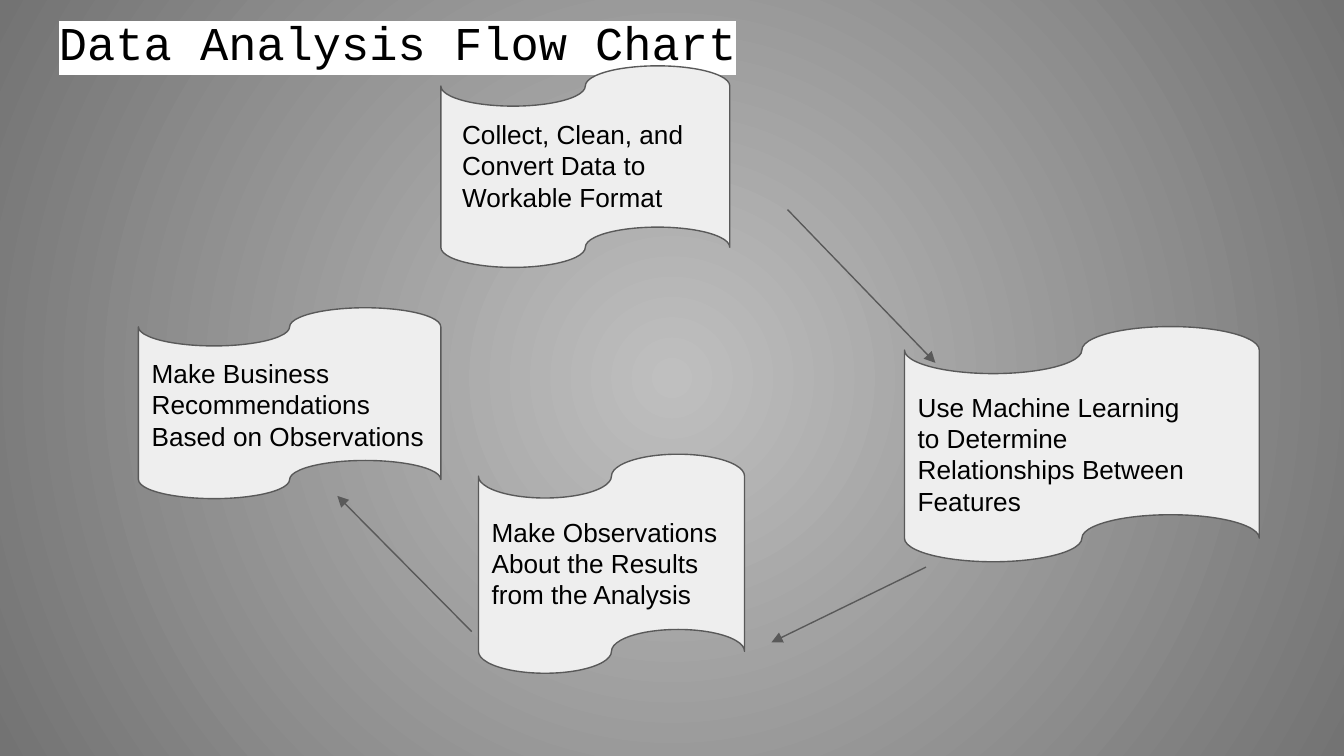
from lxml.etree import SubElement
from pptx import Presentation
from pptx.dml.color import RGBColor
from pptx.enum.shapes import MSO_CONNECTOR, MSO_SHAPE
from pptx.oxml.ns import qn
from pptx.util import Pt

PX = 9144
WIDE = 1000
INK = {"text": "000000", "mark": "FFFFFF", "tape": "EEEEEE", "line": "595959",
       "mid": "BFBFBF", "edge": "737373"}

TITLE = ("Data Analysis Flow Chart", (34, 0, 932, 63))
STEPS = [
    ("Collect, Clean, and Convert Data to Workable Format",
     (328, 49, 215, 150), (334, 78, 203, 91)),
    ("Use Machine Learning to Determine Relationships Between Features",
     (673, 243, 264, 175), (673, 281, 230, 114)),
    ("Make Observations About the Results from the Analysis",
     (356, 338, 198, 163), (356, 374, 198, 91)),
    ("Make Business Recommendations Based on Observations",
     (103, 229, 225, 142), (103, 256, 225, 91)),
]
ARROWS = [
    (586, 156, 696, 270),
    (689, 422, 574, 478),
    (351, 470, 251, 369),
]


def rgb(name):
    return RGBColor.from_string(INK[name])


def emu(box):
    return [n * PX for n in box]


def write(slide, text, box, font="Arial", size=14, mark=None):
    frame = slide.shapes.add_textbox(*emu(box)).text_frame
    frame.word_wrap = True
    frame.margin_left = frame.margin_right = 10 * PX
    frame.margin_top = frame.margin_bottom = 10 * PX
    run = frame.paragraphs[0].add_run()
    run.text = text
    run.font.name = font
    run.font.size = Pt(size)
    run.font.color.rgb = rgb("text")
    if mark:
        props = run.font._element
        light = SubElement(props, qn("a:highlight"))
        SubElement(light, qn("a:srgbClr"), val=INK[mark])
        props.find(qn("a:latin")).addprevious(light)


def paint(slide):
    fill = slide.background.fill
    fill.gradient()
    for stop, name in zip(fill.gradient_stops, ("mid", "edge")):
        stop.color.rgb = rgb(name)
    grad = next(slide.element.iter(qn("a:gradFill")))
    grad.remove(grad.find(qn("a:lin")))
    ring = SubElement(grad, qn("a:path"), path="circle")
    SubElement(ring, qn("a:fillToRect"), {side: "50000" for side in "ltrb"})


def outline(line):
    line.color.rgb = rgb("line")
    line.width = Pt(0.75)


def tape(slide, box):
    shape = slide.shapes.add_shape(MSO_SHAPE.FLOWCHART_PUNCHED_TAPE, *emu(box))
    shape.shadow.inherit = False
    shape.fill.solid()
    shape.fill.fore_color.rgb = rgb("tape")
    outline(shape.line)


def arrow(slide, ends):
    link = slide.shapes.add_connector(MSO_CONNECTOR.STRAIGHT, *emu(ends))
    outline(link.line)
    props = link._element.spPr
    SubElement(props.find(qn("a:ln")), qn("a:tailEnd"), type="triangle")
    SubElement(props, qn("a:effectLst"))


def main():
    deck = Presentation()
    deck.slide_width = WIDE * PX
    deck.slide_height = deck.slide_width * 9 // 16
    slide = deck.slides.add_slide(deck.slide_layouts[6])
    paint(slide)
    write(slide, *TITLE, font="Courier New", size=25.2, mark="mark")
    for i, (text, box, area) in enumerate(STEPS):
        tape(slide, box)
        write(slide, text, area)
        if i < len(ARROWS):
            arrow(slide, ARROWS[i])
    deck.save("out.pptx")


if __name__ == "__main__":
    main()
